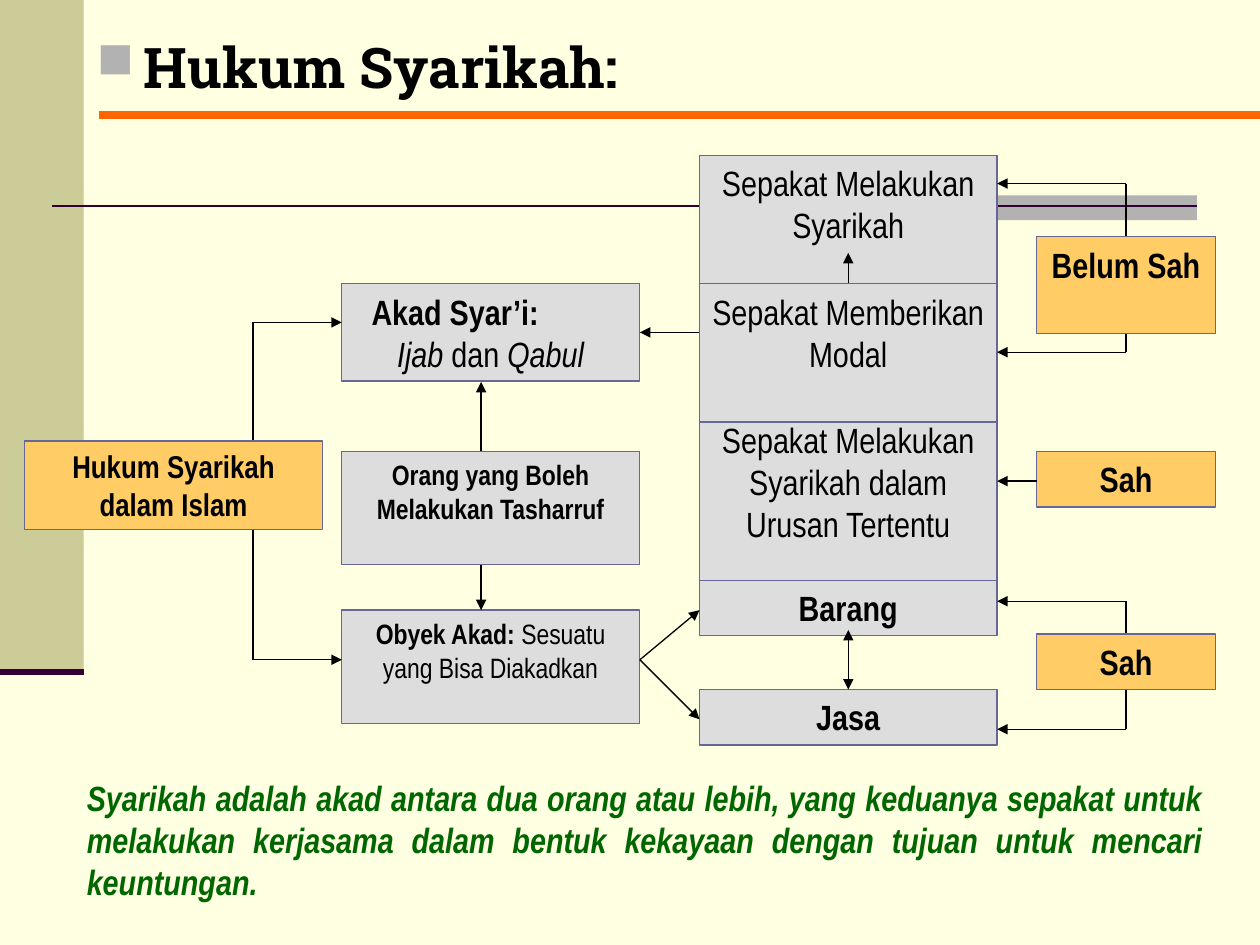
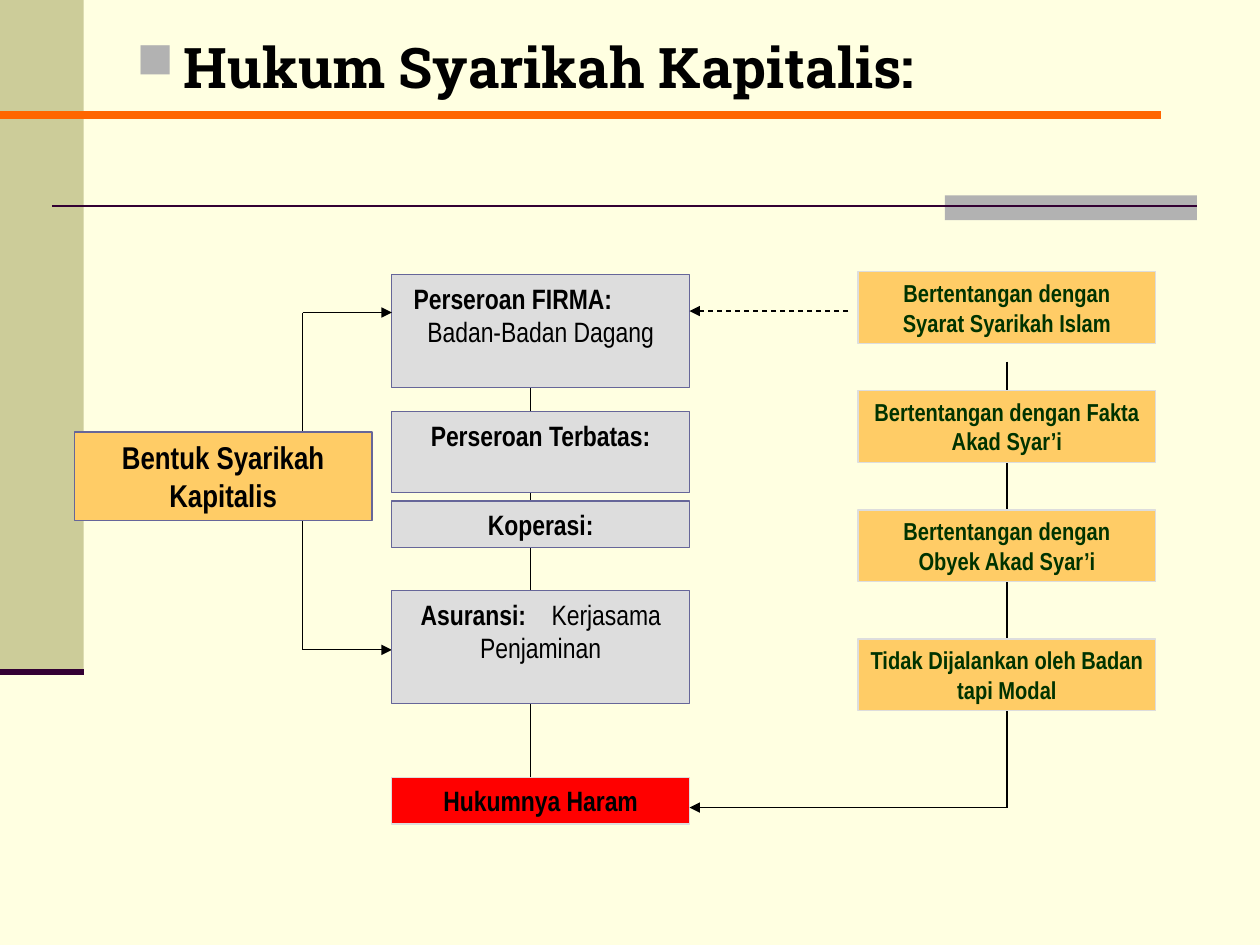
"""Build two slides of flow charts on the law of syarikah."""
from dataclasses import dataclass
from typing import NamedTuple

import pptx
import pptx.dml.color
import pptx.enum.dml
import pptx.enum.shapes
import pptx.enum.text
import pptx.oxml
import pptx.oxml.ns
import pptx.util
from lxml import etree

Cm = pptx.util.Cm
Pt = pptx.util.Pt
RGBColor = pptx.dml.color.RGBColor
Align = pptx.enum.text.PP_ALIGN
qn = pptx.oxml.ns.qn

CREAM = RGBColor(0xFF, 0xFF, 0xE1)
KHAKI = RGBColor(0xCC, 0xCC, 0x99)
SILVER = RGBColor(0xB2, 0xB2, 0xB2)
PLUM = RGBColor(0x33, 0x00, 0x33)
ORANGE = RGBColor(0xFF, 0x66, 0x00)
GREY = RGBColor(0xDD, 0xDD, 0xDD)
AMBER = RGBColor(0xFF, 0xCC, 0x66)
INDIGO = RGBColor(0x66, 0x66, 0x99)
RED = RGBColor(0xFF, 0x00, 0x00)
BLACK = RGBColor(0x00, 0x00, 0x00)
GREEN = RGBColor(0x00, 0x66, 0x00)
DARK_GREEN = RGBColor(0x00, 0x33, 0x00)

BODY_FONT = "Arial Narrow"
TITLE_FONT = "Roboto Slab"
BOX_WIDTH = 6.0
VERDICT_WIDTH = 3.6


class Span(NamedTuple):
    """A stretch of text in one style."""
    text: str
    bold: bool = False
    italic: bool = False


class Line(NamedTuple):
    """A paragraph; with tab stops it is set from the left."""
    spans: tuple[Span, ...]
    stops: tuple[float, ...] = ()
    align: Align = Align.CENTER


@dataclass(frozen=True)
class Box:
    """A filled box with text, measured in centimetres."""
    left: float
    top: float
    height: float
    lines: tuple[Line, ...]
    size: int = 20
    width: float = BOX_WIDTH
    fill: RGBColor = GREY
    border: RGBColor = INDIGO
    color: RGBColor = BLACK


@dataclass(frozen=True)
class Wire:
    """A straight line between two points, in centimetres."""
    start: tuple[float, float]
    end: tuple[float, float]
    head: bool = False
    tail: bool = True
    dashed: bool = False
    color: RGBColor = BLACK
    weight: float = 0.75


class Heading(NamedTuple):
    """A slide title and the orange rule below it."""
    text: str
    left: float
    rule_start: float
    rule_end: float


def bold(text: str) -> tuple[Line, ...]:
    """Return one centred bold paragraph."""
    return (Line((Span(text, bold=True),)),)


def plain(text: str) -> tuple[Line, ...]:
    """Return one centred regular paragraph."""
    return (Line((Span(text),)),)


def bracket(spine: float, top: float, bottom: float, tip: float) -> list[Wire]:
    """Return a vertical spine with an arrow at each end."""
    arrows = [Wire((spine, level), (tip, level)) for level in (top, bottom)]
    return [Wire((spine, top), (spine, bottom), tail=False), *arrows]


def apply(target, values: dict) -> None:
    """Set each named attribute on the target."""
    for name, value in values.items():
        setattr(target, name, value)


def add_child(parent, tag: str, **attributes: str):
    """Append an XML element with the given attributes."""
    return etree.SubElement(parent, qn(tag), attributes)


def write(frame, lines: tuple[Line, ...], size: int, color: RGBColor, font: str = BODY_FONT) -> None:
    """Write paragraphs into a text frame."""
    apply(frame, {
        "word_wrap": True, "vertical_anchor": pptx.enum.text.MSO_ANCHOR.TOP,
        "margin_left": Cm(0.25), "margin_right": Cm(0.25),
        "margin_top": Cm(0.13), "margin_bottom": Cm(0.13),
    })
    for index, line in enumerate(lines):
        para = frame.add_paragraph() if index else frame.paragraphs[0]
        para.alignment = Align.LEFT if line.stops else line.align
        if line.stops:
            tabs = add_child(para._p.get_or_add_pPr(), "a:tabLst")
            for stop in line.stops:
                add_child(tabs, "a:tab", pos=str(Cm(stop)), algn="l")
        for piece in line.spans:
            span = para.add_run()
            span.text = piece.text
            apply(span.font, {"name": font, "size": Pt(size), "bold": piece.bold, "italic": piece.italic})
            span.font.color.rgb = color


def draw_panel(page, left: float, top: float, width: float, height: float, fill: RGBColor):
    """Draw a plain filled rectangle."""
    panel = page.shapes.add_shape(
        pptx.enum.shapes.MSO_SHAPE.RECTANGLE, Cm(left), Cm(top), Cm(width), Cm(height))
    panel.shadow.inherit = False
    panel.fill.solid()
    panel.fill.fore_color.rgb = fill
    panel.line.fill.background()
    return panel


def draw_box(page, box: Box) -> None:
    """Draw a bordered box with its text."""
    panel = draw_panel(page, box.left, box.top, box.width, box.height, box.fill)
    panel.line.color.rgb = box.border
    panel.line.width = Pt(0.75)
    write(panel.text_frame, box.lines, box.size, box.color)


def draw_wire(page, wire: Wire) -> None:
    """Draw a line with optional arrowheads."""
    points = [Cm(value) for value in (*wire.start, *wire.end)]
    link = page.shapes.add_connector(pptx.enum.shapes.MSO_CONNECTOR.STRAIGHT, *points)
    link.line.color.rgb = wire.color
    link.line.width = Pt(wire.weight)
    if wire.dashed:
        link.line.dash_style = pptx.enum.dml.MSO_LINE.DASH
    outline = link.line._get_or_add_ln()
    for wanted, tag in ((wire.head, "a:headEnd"), (wire.tail, "a:tailEnd")):
        if wanted:
            add_child(outline, tag, type="triangle")
    add_child(link._element.spPr, "a:effectLst")


def draw_text(page, left: float, top: float, width: float, height: float):
    """Add an empty text box and return its frame."""
    return page.shapes.add_textbox(Cm(left), Cm(top), Cm(width), Cm(height)).text_frame


def draw_heading(page, heading: Heading) -> None:
    """Draw the orange rule and the bulleted title."""
    draw_wire(page, Wire((heading.rule_start, 2.31), (heading.rule_end, 2.31),
                         tail=False, color=ORANGE, weight=4.5))
    frame = draw_text(page, heading.left, 0.53, 21.2, 2)
    title = Line((Span(heading.text, bold=True),), align=Align.LEFT)
    write(frame, (title,), 32, BLACK, TITLE_FONT)
    properties = frame.paragraphs[0]._p.get_or_add_pPr()
    properties.set("marL", str(Cm(0.95)))
    properties.set("indent", str(Cm(-0.95)))
    add_child(add_child(properties, "a:buClr"), "a:srgbClr", val=str(SILVER))
    add_child(properties, "a:buSzPct", val="90000")
    add_child(properties, "a:buChar", char="■")


def add_page(deck, heading: Heading, items: list):
    """Add a slide with the shared decoration, its title and its chart."""
    page = deck.slides.add_slide(deck.slide_layouts[6])
    page.background.fill.solid()
    page.background.fill.fore_color.rgb = CREAM
    draw_panel(page, 0, 0, 1.69, 13.55, KHAKI)
    draw_panel(page, 19.05, 3.94, 5.08, 0.5, SILVER)
    draw_wire(page, Wire((1.05, 4.15), (24.13, 4.15), tail=False, color=PLUM, weight=1.5))
    draw_wire(page, Wire((0, 13.55), (1.69, 13.55), tail=False, color=PLUM, weight=3.5))
    draw_heading(page, heading)
    for item in items:
        if isinstance(item, Box):
            draw_box(page, item)
        else:
            draw_wire(page, item)
    return page


def verdict(text: str, top: float, height: float = 1.12) -> Box:
    """Return an amber box of the right-hand column."""
    return Box(20.9, top, height, bold(text), width=VERDICT_WIDTH, fill=AMBER)


def islamic_items() -> list:
    """List the chart of the Islamic law, from back to front."""
    parties, terms = 6.89, 14.1
    contract = (
        Line((Span("\tAkad Syar’i:", bold=True),), stops=(0.35,)),
        Line((Span("Ijab ", italic=True), Span("dan "), Span("Qabul", italic=True))),
    )
    subject = (Line((Span("Obyek Akad: ", bold=True), Span("Sesuatu yang Bisa Diakadkan"))),)
    return [
        Box(parties, 5.72, 1.96, contract),
        Box(parties, 12.3, 2.28, subject, size=16),
        Box(terms, 8.3, 3.67, plain("Sepakat Melakukan Syarikah dalam Urusan Tertentu")),
        Box(terms, 3.13, 2.79, plain("Sepakat Melakukan Syarikah")),
        Wire((14.1, 6.7), (12.9, 6.7)),
        Wire((17.1, 5.1), (17.1, 8.3), head=True),
        Box(terms, 5.72, 2.79, plain("Sepakat Memberikan Modal")),
        *bracket(5.1, 6.5, 13.3, parties),
        Box(0.5, 8.89, 1.78, bold("Hukum Syarikah dalam Islam"), size=18, fill=AMBER),
        Box(terms, 11.7, 1.12, bold("Barang")),
        Box(terms, 13.9, 1.12, bold("Jasa")),
        Wire((17.1, 12.7), (17.1, 13.9), head=True),
        *[Wire((12.9, 13.3), (terms, level)) for level in (12.3, 14.5)],
        verdict("Sah", 9.1),
        Wire((20.9, 9.7), (20.1, 9.7)),
        *bracket(22.7, 3.7, 7.1, 20.1),
        verdict("Belum Sah", 4.77, 1.96),
        *bracket(22.7, 12.12, 14.7, 20.1),
        verdict("Sah", 12.78),
        Wire((9.7, 7.7), (9.7, 12.3), head=True),
        Box(parties, 9.1, 2.28, bold("Orang yang Boleh Melakukan Tasharruf"), size=16),
    ]


def capitalist_items() -> list:
    """List the chart of the capitalist forms, from back to front."""
    forms = 7.9
    firm = (
        Line((Span("\tPerseroan FIRMA:", bold=True),), stops=(0.19,)),
        *plain("Badan-Badan Dagang"),
    )
    insurance = (
        Line((Span("\tAsuransi:", bold=True), Span("\tKerjasama")), stops=(0.33, 2.97)),
        *plain("Penjaminan"),
    )
    objections = (
        ("Bertentangan dengan Syarat Syarikah Islam", 5.48),
        ("Bertentangan dengan Fakta Akad Syar’i", 7.87),
        ("Bertentangan dengan Obyek Akad Syar’i", 10.28),
        ("Tidak Dijalankan oleh Badan tapi Modal", 12.88),
    )
    return [
        Box(forms, 15.67, 0.94, bold("Hukumnya Haram"), size=16, fill=RED, border=GREY),
        Wire((10.7, 15.67), (10.7, 13.87)),
        Wire((10.7, 11.89), (10.7, 7.47)),
        Box(forms, 5.54, 2.28, firm, size=16),
        Box(forms, 8.3, 1.63, bold("Perseroan Terbatas:"), size=16),
        *bracket(6.1, 6.3, 13.1, forms),
        Box(1.5, 8.71, 1.78, bold("Bentuk Syarikah Kapitalis"), size=18, fill=AMBER),
        Box(forms, 10.1, 0.94, bold("Koperasi:"), size=16),
        Box(forms, 11.91, 2.28, insurance, size=16),
        Wire((20.3, 7.29), (20.3, 16.28), tail=False),
        *[Box(17.3, top, 1.45, bold(text), size=14, fill=AMBER, border=GREY, color=DARK_GREEN)
          for text, top in objections],
        Wire((20.3, 16.28), (13.9, 16.28)),
        Wire((17.1, 6.27), (13.9, 6.27), dashed=True),
    ]


def main() -> None:
    """Build and save the deck."""
    deck = pptx.Presentation()
    apply(deck, {"slide_width": Cm(25.4), "slide_height": Cm(19.05)})
    page = add_page(deck, Heading("Hukum Syarikah:", 1.7, 2.0, 25.4), islamic_items())
    definition = Span(
        "Syarikah adalah akad antara dua orang atau lebih, yang keduanya sepakat untuk melakukan "
        "kerjasama dalam bentuk kekayaan dengan tujuan untuk mencari keuntungan.",
        bold=True, italic=True)
    write(draw_text(page, 1.5, 15.52, 23, 2.8),
          (Line((definition,), align=Align.JUSTIFY),), 20, GREEN)
    add_page(deck, Heading("Hukum Syarikah Kapitalis:", 2.5, 0, 23.4), capitalist_items())
    deck.save("out.pptx")


if __name__ == "__main__":
    main()
